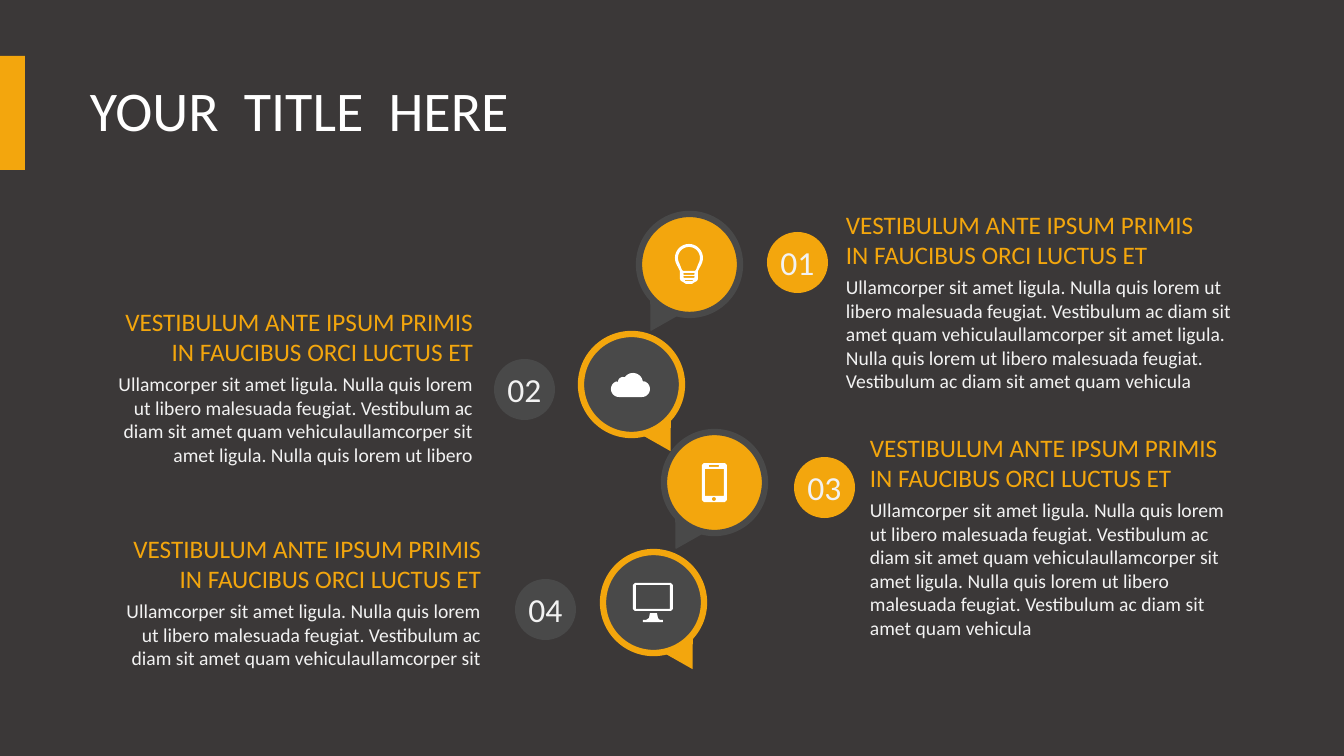
from dataclasses import dataclass
from math import cos, radians, sin

from pptx import Presentation, util as u
from pptx.dml.color import RGBColor
from pptx.enum import shapes, text

PX = 914400 / 100.8
KIND = shapes.MSO_SHAPE
ALIGN = text.PP_ALIGN
ORANGE, GREY, DARK = "F3A60D", "494949", "3B3838"
WHITE, PALE = "FFFFFF", "F2F2F2"

HEADING = "VESTIBULUM ANTE IPSUM PRIMIS IN FAUCIBUS ORCI LUCTUS ET"
SHORT = ("Ullamcorper sit amet ligula. Nulla quis lorem ut libero malesuada feugiat. "
         "Vestibulum ac diam sit amet quam vehiculaullamcorper sit")
MEDIUM = SHORT + " amet ligula. Nulla quis lorem ut libero"
LONG = MEDIUM + " malesuada feugiat. Vestibulum ac diam sit amet quam vehicula"


def emu(px):
    return u.Emu(round(px * PX))


def color(hex_code):
    return RGBColor.from_string(hex_code)


def arc(x, y, radius, start, end):
    """Points along a circle, in degrees clockwise from the right."""
    steps = 24
    angles = [radians(start + (end - start) * i / steps) for i in range(steps + 1)]
    return [(x + radius * cos(a), y + radius * sin(a)) for a in angles]


def box(left, top, right, bottom, cut=0):
    """Corners of a rectangle, each trimmed by cut."""
    return [(left + cut, top), (right - cut, top), (right, top + cut),
            (right, bottom - cut), (right - cut, bottom), (left + cut, bottom),
            (left, bottom - cut), (left, top + cut)]


# Outlines are relative to the centre of the pin; inner ones become holes.
BULB = [
    arc(0, -7, 14, 150, 390) + [(9, 6), (9, 14), (8, 16), (6, 17), (3, 19),
                                (-3, 19), (-6, 17), (-8, 16), (-9, 14), (-9, 6)],
    arc(0, -7, 11, 150, 390) + [(7, 5), (6, 6), (-6, 6), (-7, 5)],
    box(-6, 8, 6, 10, 1), box(-6, 11, 6, 13, 1), box(-4, 15, 4, 16),
]
CLOUD = [arc(-12, 4, 8, 90, 250) + arc(-8, -3, 5, 180, 290)
         + arc(2, -2, 10, 210, 350) + arc(11, 4, 8, 285, 450)]
PHONE = [box(-12, -20, 13, 19, 2), box(-9, -14, 10, 13),
         box(-5, -18, 5, -16), arc(0, 16, 2, 0, 360)]
SCREEN = [box(-20, -20, 20, 8, 2), box(-17, -18, 17, 6)]
STAND = [[(-3, 10), (4, 10), (5, 15), (7, 17), (10, 17), (10, 19),
          (-10, 19), (-10, 17), (-7, 17), (-4, 15)]]


@dataclass
class Canvas:
    slide: object
    font: str = "Calibri"

    def shape(self, kind, left, top, width, height, fill, ring=None, rotation=0, parent=None):
        target = parent or self.slide
        part = target.shapes.add_shape(kind, emu(left), emu(top), emu(width), emu(height))
        part.shadow.inherit = False
        part.rotation = rotation
        part.fill.solid()
        part.fill.fore_color.rgb = color(fill)
        if ring:
            part.line.color.rgb = color(ring)
            part.line.width = u.Pt(4.5)
        else:
            part.line.fill.background()

    def label(self, words, left, top, width, height, size, ink,
              align=ALIGN.LEFT, anchor=text.MSO_ANCHOR.TOP, spacing=1.0):
        frame = self.slide.shapes.add_textbox(
            emu(left), emu(top), emu(width), emu(height)).text_frame
        frame.text = words
        frame.word_wrap = True
        frame.vertical_anchor = anchor
        paragraph = frame.paragraphs[0]
        paragraph.alignment = align
        paragraph.line_spacing = spacing
        font = paragraph.runs[0].font
        font.name, font.size = self.font, u.Pt(size)
        font.color.rgb = color(ink)

    def icon(self, outlines, x, y):
        """Draw outlines as one white freeform around the point x, y."""
        contours = [[(emu(x + dx), emu(y + dy)) for dx, dy in outline]
                    for outline in outlines]
        builder = self.slide.shapes.build_freeform(*contours[0][0], scale=1.0)
        builder.add_line_segments(contours[0][1:], close=True)
        for contour in contours[1:]:
            builder.move_to(*contour[0])
            builder.add_line_segments(contour[1:], close=True)
        drawn = builder.convert_to_shape()
        drawn.shadow.inherit = False
        drawn.fill.solid()
        drawn.fill.fore_color.rgb = color(WHITE)
        drawn.line.fill.background()

    def pin(self, left, top, fill, ring, points_left):
        """Ringed circle with a small tail below it."""
        pin = self.slide.shapes.add_group_shape()
        self.shape(KIND.OVAL, left, top, 101, 101, fill, ring, parent=pin)
        tail_x, turn = (2, 210) if points_left else (66, 150)
        self.shape(KIND.ISOSCELES_TRIANGLE, left + tail_x, top + 91, 33, 28,
                   ring, rotation=turn, parent=pin)

    def badge(self, number, left, top, fill):
        self.shape(KIND.OVAL, left, top, 61, 61, fill)
        self.label(number, left - 8, top + 5, 77, 51, 24, PALE,
                   ALIGN.CENTER, text.MSO_ANCHOR.MIDDLE)

    def story(self, body, left, top, width, height, align):
        self.label(HEADING, left, top, 388, 72, 18, ORANGE, align)
        self.label(body, left, top + 66, width, height, 14, PALE, align)


# number, pin, badge, story position, story width and height, body, icons
STEPS = [
    ("01", (639, 214), (767, 232), (836, 204), (428, 129), LONG, [BULB]),
    ("02", (581, 334), (494, 359), (95, 301), (388, 105), MEDIUM, [CLOUD]),
    ("03", (664, 432), (794, 457), (860, 427), (388, 152), LONG, [PHONE]),
    ("04", (603, 552), (515, 579), (103, 528), (388, 82), SHORT, [SCREEN, STAND]),
]


def main():
    deck = Presentation()
    deck.slide_width, deck.slide_height = emu(1344), emu(756)
    slide = deck.slides.add_slide(deck.slide_layouts[6])
    slide.background.fill.solid()
    slide.background.fill.fore_color.rgb = color(DARK)

    canvas = Canvas(slide)
    canvas.shape(KIND.RECTANGLE, -1, 56, 26, 114, ORANGE)
    canvas.label("YOUR  TITLE  HERE", 80, 40, 1172, 146, 40, WHITE,
                 anchor=text.MSO_ANCHOR.MIDDLE, spacing=0.9)

    for number, pin, badge, story, size, body, icons in STEPS:
        on_right = story[0] > pin[0]
        fill, ring = (ORANGE, GREY) if on_right else (GREY, ORANGE)
        canvas.pin(*pin, fill, ring, points_left=on_right)
        for outlines in icons:
            canvas.icon(outlines, pin[0] + 50, pin[1] + 51)
        canvas.badge(number, *badge, fill)
        canvas.story(body, *story, *size, ALIGN.LEFT if on_right else ALIGN.RIGHT)

    deck.save("out.pptx")


if __name__ == "__main__":
    main()
